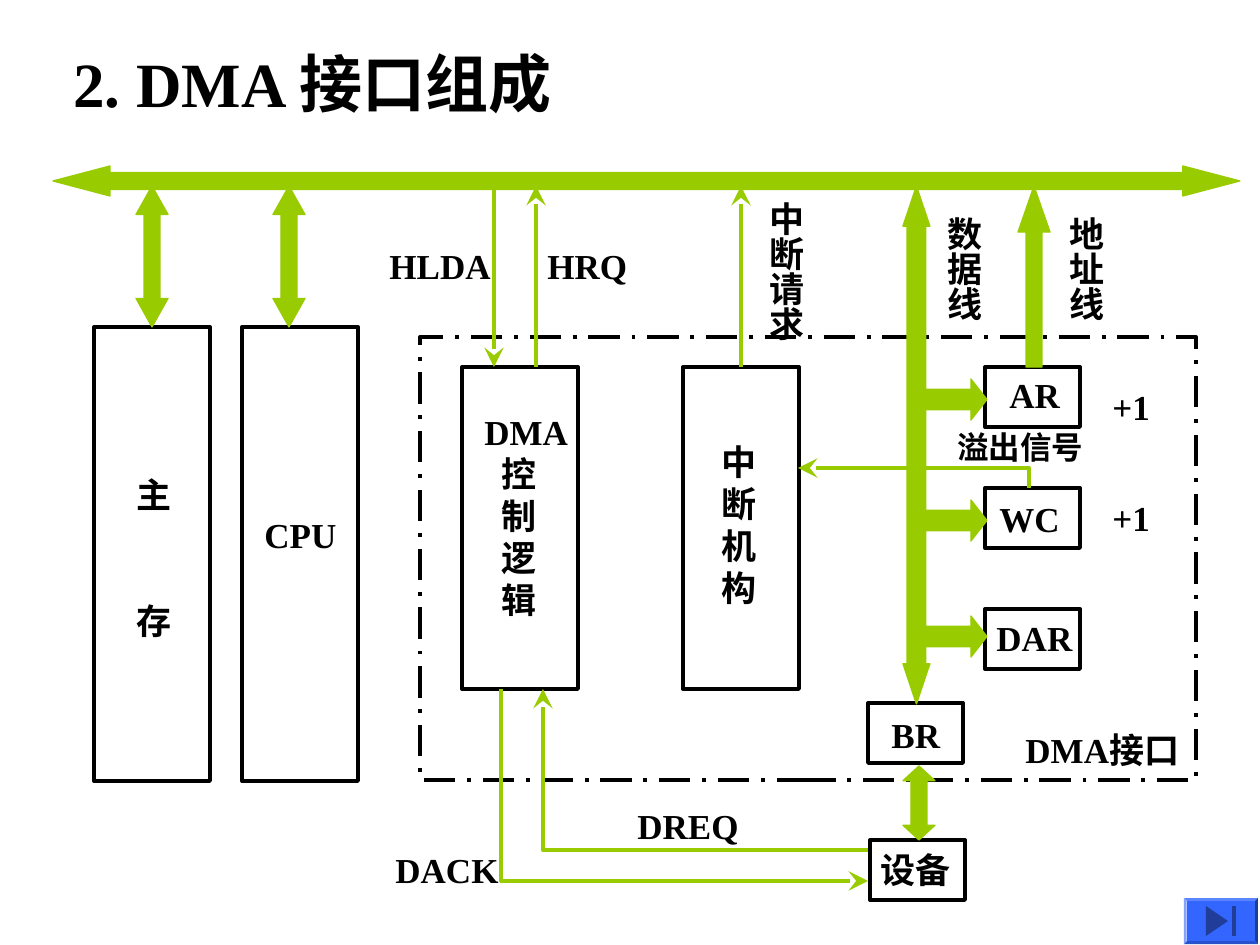
from typing import NamedTuple

from lxml.etree import SubElement
from pptx import Presentation
from pptx.dml.color import RGBColor
from pptx.enum.dml import MSO_LINE
from pptx.enum.shapes import MSO_CONNECTOR, MSO_SHAPE
from pptx.enum.text import MSO_AUTO_SIZE
from pptx.oxml.ns import qn
from pptx.shapes.autoshape import Shape
from pptx.slide import Slide
from pptx.util import Emu, Pt

EMU_PER_PX = 914400 / 126
FONT = "Times New Roman"
COLORS = {"ink": "000000", "signal": "99CC00", "button": "3366FF", "icon": "1F3D99"}


class Box(NamedTuple):
    left: int
    top: int
    width: int
    height: int


class BlockArrow(NamedTuple):
    kind: MSO_SHAPE
    box: Box
    shaft: float
    head: float


class Label(NamedTuple):
    text: str
    box: Box
    size: int = 20
    vertical: bool = False
    wrap: bool = False
    indent: int = 0
    gap: int = 0


def px(value: int) -> Emu:
    return Emu(round(value * EMU_PER_PX))


def color(name: str) -> RGBColor:
    return RGBColor.from_string(COLORS[name])


def fill_shape(shape: Shape, name: str, outlined: bool = False) -> None:
    shape.shadow.inherit = False
    shape.fill.solid()
    shape.fill.fore_color.rgb = color(name)
    if outlined:
        shape.line.color.rgb = color(name)
        shape.line.width = Pt(0.75)
    else:
        shape.line.fill.background()


def draw_box(slide: Slide, box: Box) -> Shape:
    shape = slide.shapes.add_shape(MSO_SHAPE.RECTANGLE, *map(px, box))
    shape.shadow.inherit = False
    shape.fill.background()
    shape.line.color.rgb = color("ink")
    shape.line.width = Pt(2.25)
    return shape


def draw_block_arrow(slide: Slide, arrow: BlockArrow) -> None:
    shape = slide.shapes.add_shape(arrow.kind, *map(px, arrow.box))
    shape.adjustments[0] = arrow.shaft
    shape.adjustments[1] = arrow.head
    for number, guide in enumerate(shape.element.spPr.iter(qn("a:gd")), start=1):
        guide.set("name", f"adj{number}")
    fill_shape(shape, "signal", outlined=True)


def style_signal(shape) -> None:
    shape.line.color.rgb = color("signal")
    shape.line.width = Pt(2.25)
    properties = shape.element.spPr
    SubElement(properties.get_or_add_ln(), qn("a:tailEnd"), type="stealth", w="lg", len="lg")
    if properties.find(qn("a:effectLst")) is None:
        SubElement(properties, qn("a:effectLst"))


def draw_signal(slide: Slide, x: int, start: int, end: int, source: Shape | None = None) -> None:
    connector = slide.shapes.add_connector(
        MSO_CONNECTOR.STRAIGHT, px(x), px(start), px(x), px(end))
    if source is not None:
        connector.begin_connect(source, 0)
    style_signal(connector)


def build_outline(slide: Slide, points: list[tuple[int, int]], close: bool) -> Shape:
    start, *others = [(px(x), px(y)) for x, y in points]
    builder = slide.shapes.build_freeform(*start)
    builder.add_line_segments(others, close=close)
    return builder.convert_to_shape()


def draw_bent_signal(slide: Slide, points: list[tuple[int, int]]) -> None:
    shape = build_outline(slide, points, close=False)
    shape.fill.background()
    style_signal(shape)


def draw_label(slide: Slide, label: Label) -> None:
    text_frame = slide.shapes.add_textbox(*map(px, label.box)).text_frame
    text_frame.word_wrap = label.wrap
    text_frame.auto_size = MSO_AUTO_SIZE.SHAPE_TO_FIT_TEXT
    if label.vertical:
        text_frame.margin_left = text_frame.margin_right = Pt(3.6)
        text_frame.margin_top = text_frame.margin_bottom = Pt(7.2)
        text_frame._txBody.bodyPr.set("vert", "eaVert")
    text_frame.text = label.text
    for index, paragraph in enumerate(text_frame.paragraphs):
        if index and label.indent:
            paragraph._p.get_or_add_pPr().set("marL", str(Pt(label.indent)))
        if index and label.gap:
            paragraph.space_before = Pt(label.gap)
        for run in paragraph.runs:
            run.font.name = FONT
            run.font.size = Pt(label.size)
            run.font.bold = True
            run.font.color.rgb = color("ink")


def draw_end_button(slide: Slide) -> None:
    button = slide.shapes.add_shape(MSO_SHAPE.BEVEL, *map(px, Box(1184, 898, 74, 46)))
    button.adjustments[0] = 0.06
    fill_shape(button, "button")
    fill_shape(build_outline(slide, [(1206, 906), (1228, 921), (1206, 936)], close=True), "icon")
    bar = slide.shapes.add_shape(MSO_SHAPE.RECTANGLE, *map(px, Box(1232, 906, 4, 30)))
    fill_shape(bar, "icon")


REGISTER_TOPS = [367, 488, 609]
BOXES = [
    Box(94, 327, 116, 454),
    Box(242, 327, 116, 454),
    Box(462, 367, 116, 322),
    Box(870, 840, 95, 60),
    Box(868, 703, 95, 60),
    *(Box(985, top, 95, 60) for top in REGISTER_TOPS),
]
ARROWS = [
    BlockArrow(MSO_SHAPE.LEFT_RIGHT_ARROW, Box(53, 166, 1187, 30), 0.57, 1.9),
    *(BlockArrow(MSO_SHAPE.UP_DOWN_ARROW, Box(left, 186, 32, 141), 0.5, 0.89)
      for left in (136, 273)),
    BlockArrow(MSO_SHAPE.UP_DOWN_ARROW, Box(903, 766, 32, 74), 0.5, 0.46),
    BlockArrow(MSO_SHAPE.UP_DOWN_ARROW, Box(903, 186, 27, 518), 0.69, 1.49),
    *(BlockArrow(MSO_SHAPE.RIGHT_ARROW, Box(924, top, 63, 41), 0.5, 0.39)
      for top in (379, 500, 616)),
    BlockArrow(MSO_SHAPE.UP_ARROW, Box(1018, 186, 32, 181), 0.5, 1.44),
]
BENT_SIGNALS = [
    [(1029, 488), (1029, 468), (798, 468)],
    [(868, 850), (543, 850), (543, 689)],
    [(501, 689), (501, 881), (868, 881)],
]
LABELS = [
    Label("2. DMA 接口组成", Box(61, 38, 570, 88), size=36, wrap=True),
    Label("DMA接口", Box(1013, 722, 194, 55)),
    Label("主\n存", Box(124, 467, 66, 181), gap=48),
    Label("CPU", Box(252, 507, 104, 55)),
    Label("DMA\n控\n制\n逻\n辑", Box(472, 404, 116, 223), indent=10),
    Label("中\n断\n机\n构", Box(709, 434, 66, 181)),
    Label("设备", Box(868, 842, 102, 55)),
    Label("HLDA", Box(377, 238, 134, 55)),
    Label("HRQ", Box(535, 238, 112, 55)),
    Label("AR", Box(997, 367, 84, 55)),
    Label("WC", Box(987, 491, 94, 55)),
    Label("DAR", Box(984, 610, 108, 55)),
    Label("BR", Box(879, 707, 82, 55)),
    Label("+1", Box(1100, 379, 70, 55)),
    Label("+1", Box(1100, 490, 70, 55)),
    Label("溢出信号", Box(945, 422, 158, 50), size=18),
    Label("DREQ", Box(625, 798, 134, 55)),
    Label("DACK", Box(383, 842, 136, 55)),
    Label("中断请求", Box(746, 189, 67, 160), vertical=True),
    Label("数据线", Box(924, 204, 67, 124), vertical=True),
    Label("地址线", Box(1046, 204, 67, 124), vertical=True),
]


def main() -> None:
    presentation = Presentation()
    presentation.slide_width = px(1260)
    presentation.slide_height = px(945)
    slide = presentation.slides.add_slide(presentation.slide_layouts[6])
    draw_box(slide, Box(420, 337, 776, 443)).line.dash_style = MSO_LINE.LONG_DASH_DOT
    for box in BOXES:
        draw_box(slide, box)
    interrupt = draw_box(slide, Box(683, 367, 116, 322))
    for arrow in ARROWS:
        draw_block_arrow(slide, arrow)
    draw_signal(slide, 494, 186, 367)
    draw_signal(slide, 536, 367, 186)
    draw_signal(slide, 741, 367, 186, source=interrupt)
    for points in BENT_SIGNALS:
        draw_bent_signal(slide, points)
    for label in LABELS:
        draw_label(slide, label)
    draw_end_button(slide)
    presentation.save("out.pptx")


if __name__ == "__main__":
    main()
